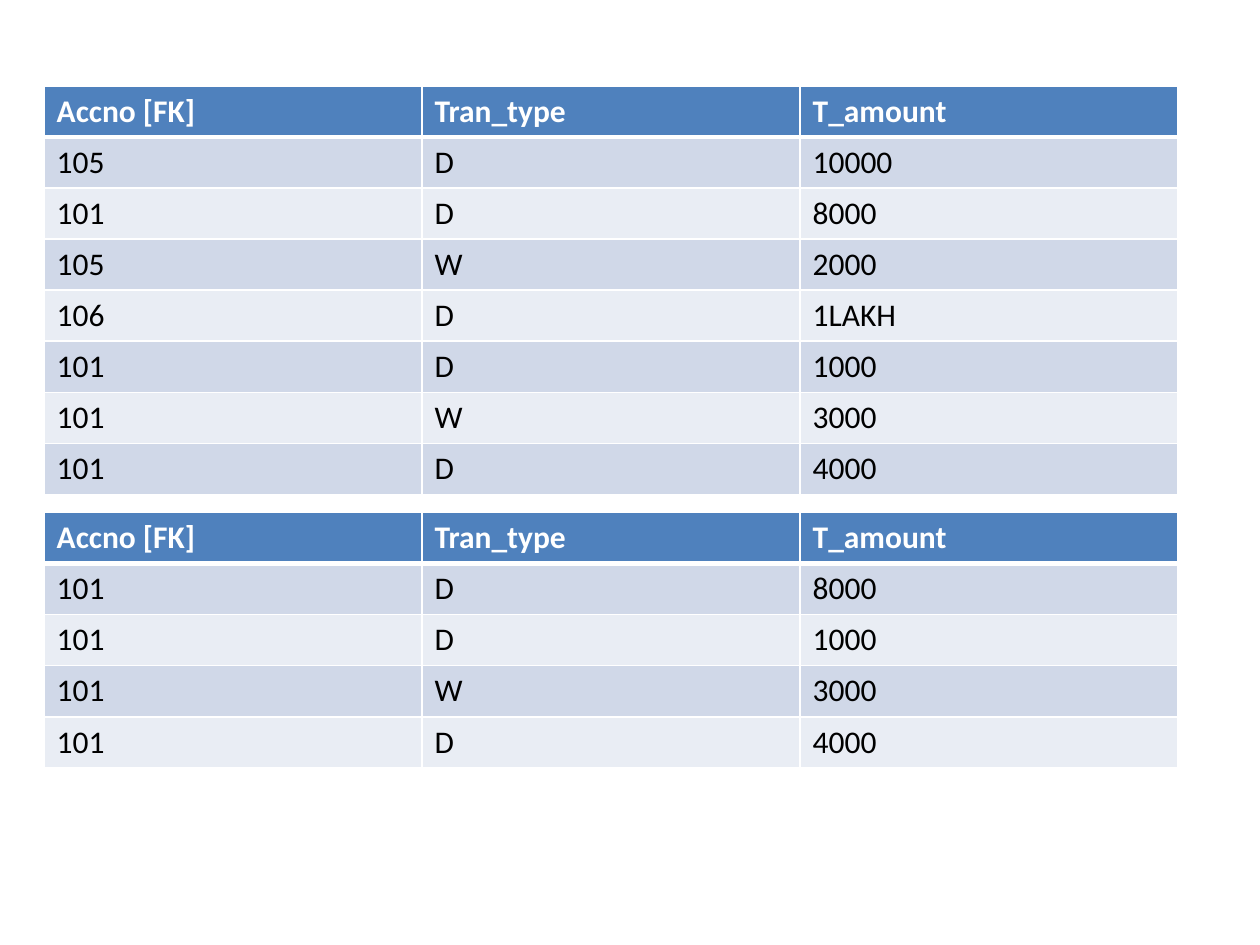
from lxml.etree import SubElement
from pptx import Presentation
from pptx.dml.color import RGBColor
from pptx.oxml.ns import qn
from pptx.util import Pt

HEADER_FILL, BAND_FILLS = "4F81BD", ("D0D8E8", "E9EDF4")
LEFT, COLUMN_WIDTH, ROW_HEIGHT = 25.2, 216, 29.2


def write_cell(cell, text, fill, color="000000", bold=False, bottom=1):
    """Write one cell with its white borders, fill and font."""
    properties = cell._tc.get_or_add_tcPr()
    for side, width in (("L", 1), ("R", 1), ("T", 1), ("B", bottom)):
        border = SubElement(properties, qn(f"a:ln{side}"), w=str(Pt(width)))
        SubElement(SubElement(border, qn("a:solidFill")), qn("a:srgbClr"), val="FFFFFF")
    cell.fill.solid()
    cell.fill.fore_color.rgb = RGBColor.from_string(fill)
    run = cell.text_frame.paragraphs[0].add_run()
    run.text = text
    run.font.name = "Calibri"
    run.font.size = Pt(18)
    run.font.bold = bold
    run.font.color.rgb = RGBColor.from_string(color)


presentation = Presentation()
presentation.slide_width, presentation.slide_height = Pt(720), Pt(540)
slide = presentation.slides.add_slide(presentation.slide_layouts[6])

headings = ("Accno [FK]", "Tran_type", "T_amount")
transactions = [
    ("105", "D", "10000"),
    ("101", "D", "8000"),
    ("105", "W", "2000"),
    ("106", "D", "1LAKH"),
    ("101", "D", "1000"),
    ("101", "W", "3000"),
    ("101", "D", "4000"),
]
account_101 = [entry for entry in transactions if entry[0] == "101"]

# All transactions above, those of account 101 below
for top, entries in ((49, transactions), (292.8, account_101)):
    row_count = len(entries) + 1
    ledger = slide.shapes.add_table(
        row_count, len(headings), Pt(LEFT), Pt(top),
        Pt(COLUMN_WIDTH * len(headings)), Pt(ROW_HEIGHT * row_count)).table
    for column in ledger.columns:
        column.width = Pt(COLUMN_WIDTH)
    for row in ledger.rows:
        row.height = Pt(ROW_HEIGHT)

    # Header row
    for c, heading in enumerate(headings):
        write_cell(ledger.cell(0, c), heading, HEADER_FILL,
                   color="FFFFFF", bold=True, bottom=3)

    # Banded rows
    for r, entry in enumerate(entries):
        for c, value in enumerate(entry):
            write_cell(ledger.cell(r + 1, c), value, BAND_FILLS[r % 2])
    # The thick header rule is shared with the first band
    for c in range(len(headings)):
        shared = ledger.cell(1, c)._tc.tcPr.find(qn("a:lnT"))
        shared.set("w", str(Pt(3)))

presentation.save("out.pptx")
